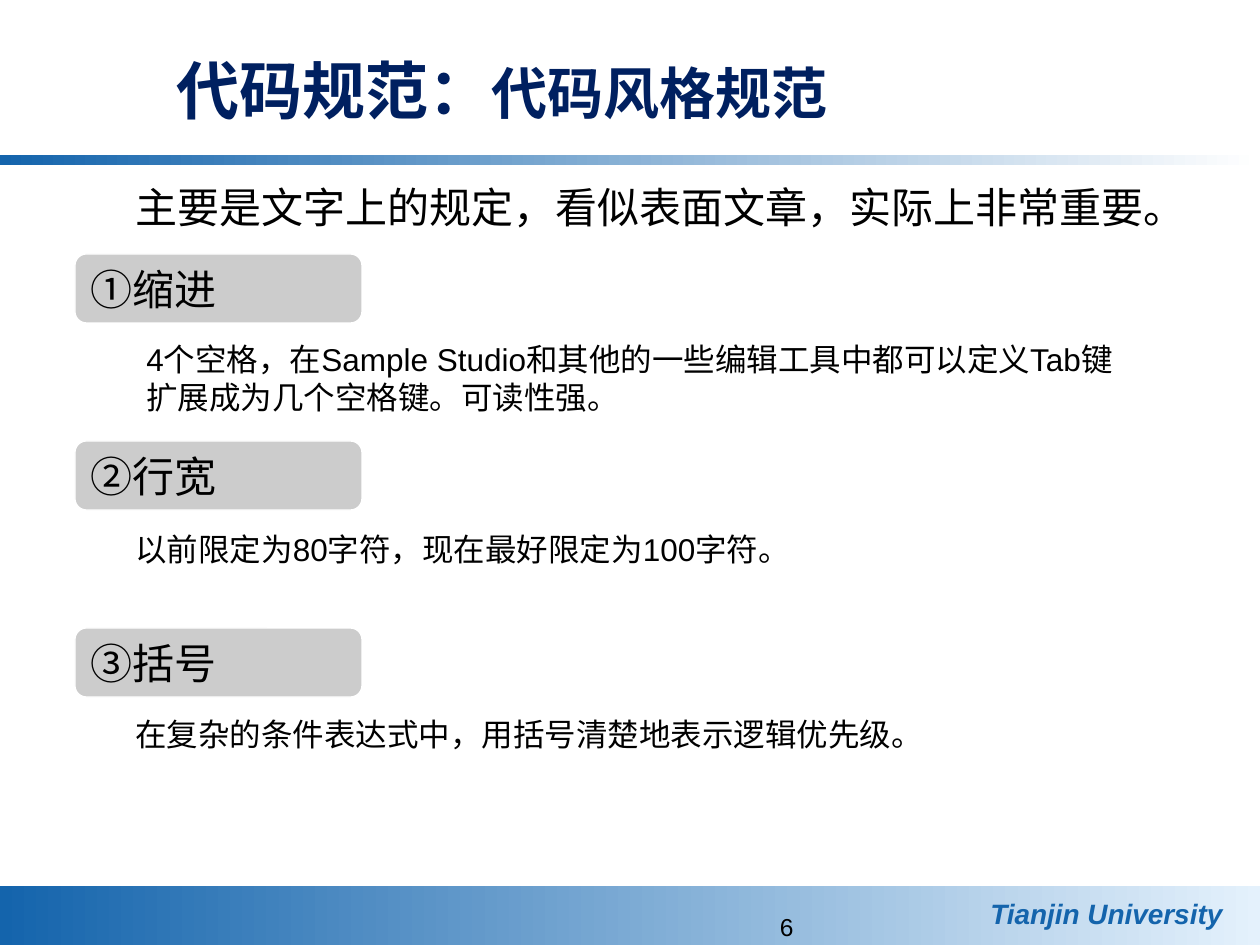
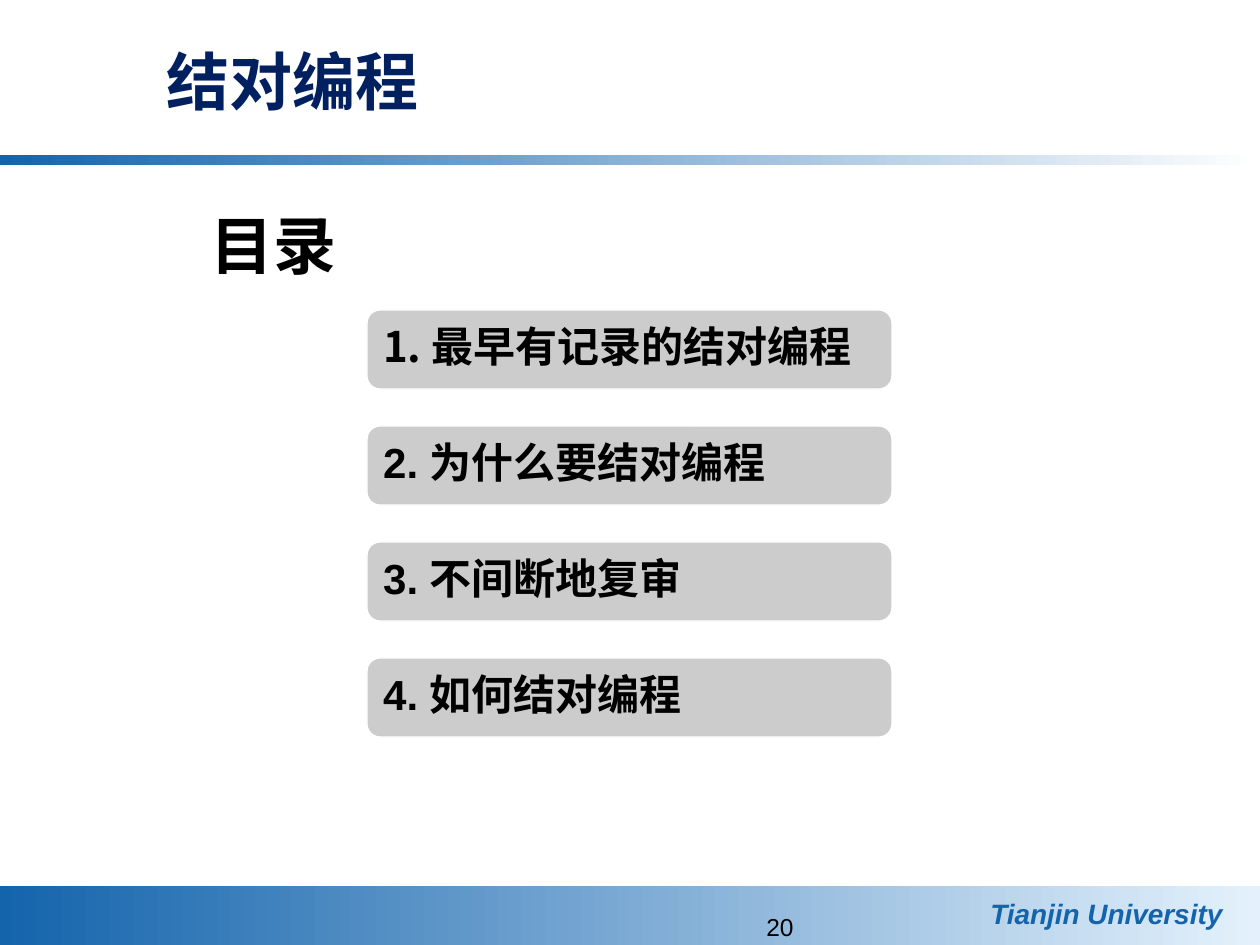
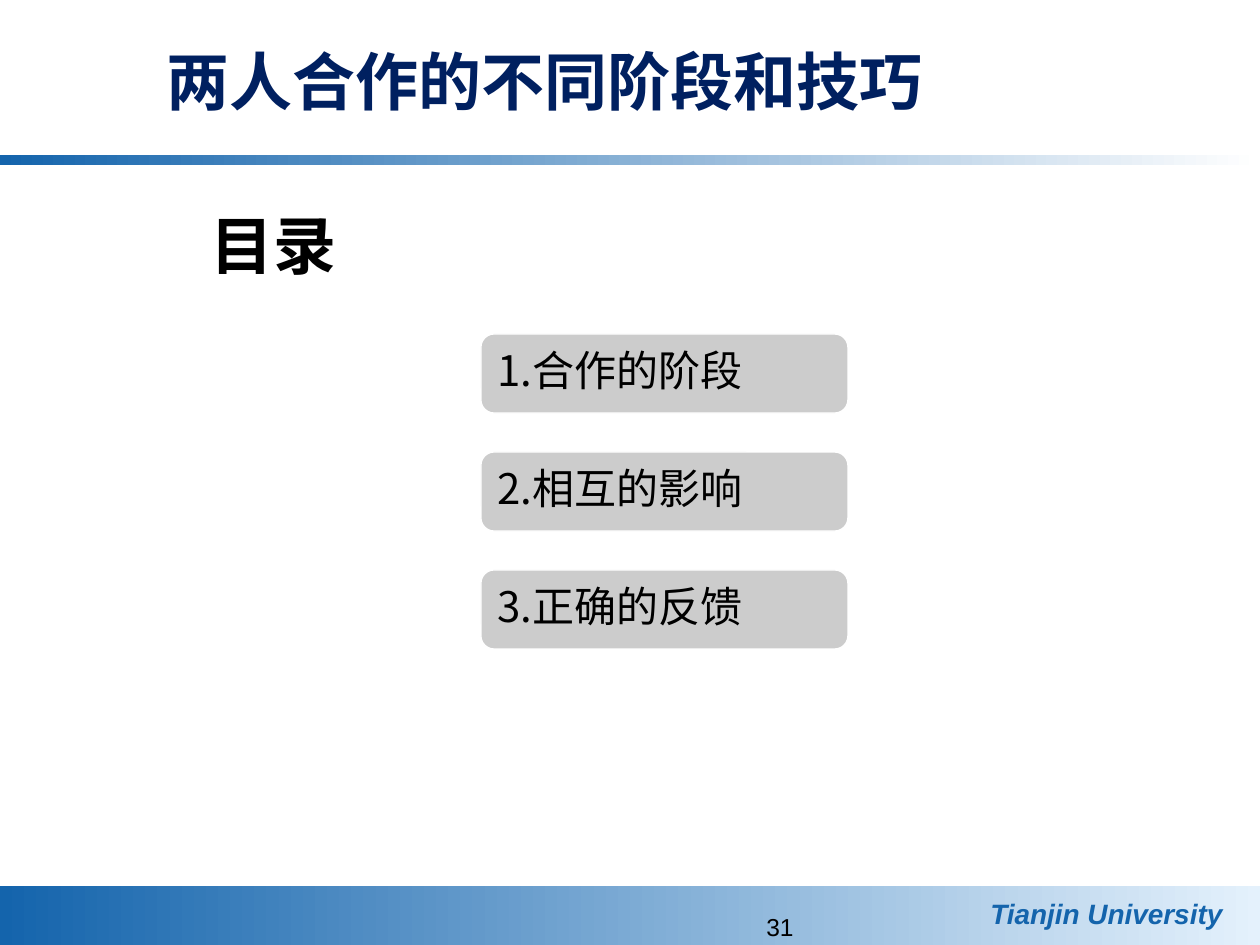
from lxml.etree import SubElement
from pptx import Presentation
from pptx.dml.color import RGBColor
from pptx.enum.shapes import MSO_SHAPE
from pptx.enum.text import MSO_ANCHOR, MSO_AUTO_SIZE, PP_ALIGN
from pptx.oxml.ns import qn
from pptx.util import Emu, Pt

PIXELS_PER_INCH = 126
SLIDE_WIDTH, SLIDE_HEIGHT = 1260, 945
BLUE, PALE_BLUE, NAVY = "1464AC", "E4F1FC", "002060"
BLACK, WHITE, GREY = "000000", "FFFFFF", "CCCCCC"
LATIN, CHINESE = "Arial", "Noto Sans CJK SC"


def px(length):
    return Emu(round(length * 914400 / PIXELS_PER_INCH))


def color(value):
    return RGBColor.from_string(value)


def format_run(run, size, font=LATIN, fill=BLACK, bold=False, italic=False):
    run.font.size = Pt(size)
    run.font.bold = bold
    run.font.italic = italic
    run.font.color.rgb = color(fill)
    run.font.name = font
    SubElement(run.font._element, qn("a:ea"), typeface=CHINESE)


def format_text(shape, size, align=PP_ALIGN.LEFT, **style):
    frame = shape.text_frame
    frame.word_wrap = True
    frame.auto_size = MSO_AUTO_SIZE.NONE
    frame.vertical_anchor = MSO_ANCHOR.TOP
    for paragraph in frame.paragraphs:
        paragraph.alignment = align
        paragraph.space_before = Pt(0)
        for run in paragraph.runs:
            format_run(run, size, **style)


def place(shape, box):
    shape.left, shape.top, shape.width, shape.height = map(px, box)


def add_text(slide, box, text, size, **style):
    shape = slide.shapes.add_textbox(*map(px, box))
    shape.text_frame.text = text
    format_text(shape, size, **style)


def add_title(slide, box, text):
    title = slide.shapes.title
    place(title, box)
    title.text_frame.text = text
    format_text(title, 36, font=CHINESE, fill=NAVY, bold=True)
    return title


def add_body(slide, box, text, size, **style):
    body = slide.placeholders[1]
    place(body, box)
    body.text_frame.text = text
    properties = body.text_frame.paragraphs[0]._p.get_or_add_pPr()
    properties.set("marL", "0")
    properties.set("indent", "0")
    SubElement(properties, qn("a:buNone"))
    format_text(body, size, **style)


def add_band(slide, box, end_color):
    band = slide.shapes.add_shape(MSO_SHAPE.RECTANGLE, *map(px, box))
    band.shadow.inherit = False
    band.line.fill.background()
    band.fill.gradient()
    band.fill.gradient_angle = 0
    for stop, value in zip(band.fill.gradient_stops, (BLUE, end_color)):
        stop.color.rgb = color(value)


def add_pills(slide, box, pitch, labels, **style):
    left, top, width, height = box
    pills = []
    for index, label in enumerate(labels):
        pill = slide.shapes.add_shape(
            MSO_SHAPE.ROUNDED_RECTANGLE,
            *map(px, (left, top + index * pitch, width, height)))
        pill.shadow.inherit = False
        pill.fill.solid()
        pill.fill.fore_color.rgb = color(GREY)
        pill.line.color.rgb = color(WHITE)
        pill.line.width = Pt(0.75)
        pill.text_frame.text = label
        format_text(pill, 24, **style)
        pills.append(pill)
    return pills


def decorate_layout(layout, slide):
    for placeholder in list(layout.placeholders):
        if placeholder.placeholder_format.idx >= 10:
            layout.shapes.element.remove(placeholder.element)
    existing = len(slide.shapes)
    add_band(slide, (0, 155, SLIDE_WIDTH, 10), WHITE)
    add_band(slide, (0, 886, SLIDE_WIDTH, 59), PALE_BLUE)
    add_text(slide, (978, 890, 277, 47), "Tianjin University", 16,
             fill=BLUE, bold=True, italic=True)
    for shape in list(slide.shapes)[existing:]:
        layout.shapes.element.append(shape.element)


def add_page_number(slide, number):
    add_text(slide, (512, 906, 294, 39), str(number), 14, align=PP_ALIGN.RIGHT)


def build_style_slide(slide):
    title = add_title(slide, (164, 45, 934, 89), "代码规范：")
    topic = title.text_frame.paragraphs[0].add_run()
    topic.text = "代码风格规范"
    format_run(topic, 32, CHINESE, NAVY, bold=True)
    add_body(slide, (123, 175, 1101, 63),
             "主要是文字上的规定，看似表面文章，实际上非常重要。", 24)
    add_pills(slide, (75, 254, 287, 69), 187, ["①缩进", "②行宽", "③括号"],
              font=CHINESE)
    details = [
        ((134, 334, 1022, 89),
         "4个空格，在Sample Studio和其他的一些编辑工具中都可以定义Tab键扩展成为几个空格键。可读性强。"),
        ((123, 524, 1032, 50), "以前限定为80字符，现在最好限定为100字符。"),
        ((123, 709, 1032, 50),
         "在复杂的条件表达式中，用括号清楚地表示逻辑优先级。"),
    ]
    for box, text in details:
        add_text(slide, box, text, 18)


def build_contents_slide(slide, title, box, pitch, labels, **style):
    add_title(slide, (154, 36, 934, 89), title)
    add_body(slide, (198, 200, 300, 100), "目录", 36, bold=True)
    return add_pills(slide, box, pitch, labels, **style)


def main():
    presentation = Presentation()
    presentation.slide_width = px(SLIDE_WIDTH)
    presentation.slide_height = px(SLIDE_HEIGHT)
    layout = presentation.slide_layouts[1]
    style_slide, pair_slide, stages_slide = slides = [
        presentation.slides.add_slide(layout) for _ in range(3)]
    decorate_layout(layout, style_slide)
    for slide, number in zip(slides, (6, 20, 31)):
        add_page_number(slide, number)

    build_style_slide(style_slide)
    pair_pills = build_contents_slide(
        pair_slide, "结对编程", (367, 310, 525, 79), 116,
        ["1. ", "2. 为什么要结对编程", "3. 不间断地复审", "4. 如何结对编程"],
        bold=True)
    first_paragraph = pair_pills[0].text_frame.paragraphs[0]
    first_paragraph.runs[0].font.name = CHINESE
    first_topic = first_paragraph.add_run()
    first_topic.text = "最早有记录的结对编程"
    format_run(first_topic, 24, bold=True)
    build_contents_slide(
        stages_slide, "两人合作的不同阶段和技巧", (481, 334, 367, 79), 118,
        ["1.合作的阶段", "2.相互的影响", "3.正确的反馈"], font=CHINESE)
    presentation.save("out.pptx")


if __name__ == "__main__":
    main()
